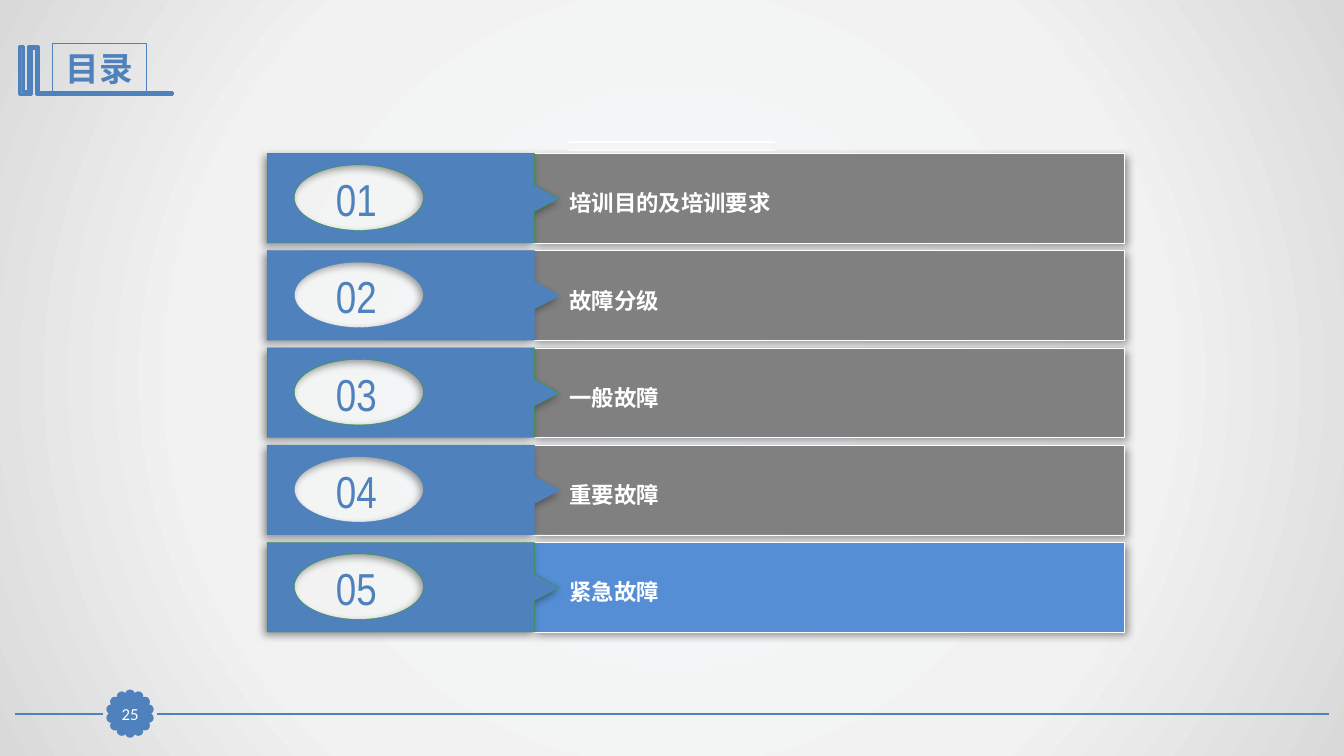
from dataclasses import dataclass
from math import cos, pi, sin

from pptx import Presentation
from pptx.dml.color import RGBColor
from pptx.enum.shapes import MSO_CONNECTOR, MSO_SHAPE
from pptx.enum.text import MSO_ANCHOR, MSO_AUTO_SIZE, PP_ALIGN
from pptx.oxml import parse_xml
from pptx.oxml.ns import nsdecls, qn
from pptx.util import Inches, Pt

COLORS = {
    "blue": "4F81BD", "cyan": "28A9D6", "active": "558ED5", "gray": "808080",
    "green": "339933", "white": "FFFFFF", "black": "000000",
}
BACKGROUND_STOPS = [(0, "F6F9FC"), (63, "F2F2F2"), (100, "D9D9D9")]
NUMBER_FORMAT = {"name": "Arial Narrow", "size": Pt(32)}
LABEL_FORMAT = {"name": "Calibri", "size": Pt(16), "bold": True}
TITLE_FORMAT = {"name": "Arial Narrow", "size": Pt(24), "bold": True}
PAGE_NUMBER_FORMAT = {"name": "Calibri", "size": Pt(12), "bold": False}

FIRST_TOP, LAST_TOP, ROW_HEIGHT = 1.52, 5.38, 0.89
TAB_LEFT, TAB_RIGHT, TAB_TIP = 2.65, 5.3, 5.55
HOLE_X, HOLE_WIDTH, HOLE_HEIGHT = 3.56, 1.28, 0.65
QUARTER_ARC = 0.55  # handle length of a curved quarter, as a share of its radius
PETALS, PETAL_SIZE = 14, 0.07
BADGE_X, BADGE_Y, BADGE_RADIUS = 1.29, 7.08, 0.19

Points = list[tuple[float, float]]


@dataclass
class Chapter:
    number: str
    label: str
    bar_color: str
    edge_color: str


@dataclass
class Rule:
    start: float
    end: float
    y: float
    color: str
    weight: float


CHAPTERS = [
    Chapter("01", "培训目的及培训要求", "gray", "green"),
    Chapter("02", "故障分级", "gray", "blue"),
    Chapter("03", "一般故障", "gray", "green"),
    Chapter("04", "重要故障", "gray", "blue"),
    Chapter("05", "紧急故障", "active", "green"),
]
FOOTER_RULES = [
    Rule(13.18, 1.56, BADGE_Y, "blue", 1.25),
    Rule(1.02, 0.15, BADGE_Y, "blue", 1.25),
]
TOP_RULES = [Rule(5.64, 7.69, y, "white", 1.5) for y in (1.41, 1.49)]
BOOK_OUTLINE: Points = [
    (0.37, 0.46), (0.38, 0.46), (0.38, 0.92), (1.71, 0.92), (1.71, 0.94),
    (0.37, 0.94), (0.36, 0.94), (0.36, 0.48), (0.31, 0.48), (0.31, 0.94),
    (0.19, 0.94), (0.19, 0.46), (0.23, 0.46), (0.23, 0.91), (0.28, 0.91),
    (0.28, 0.46),
]


def rgb(color: str) -> RGBColor:
    return RGBColor.from_string(COLORS[color])


def paint(shape, fill: str, line: str, weight: float) -> None:
    shape.fill.solid()
    shape.fill.fore_color.rgb = rgb(fill)
    shape.line.color.rgb = rgb(line)
    shape.line.width = Pt(weight)
    shape.shadow.inherit = False


def cast_shadow(shape, direction: int) -> None:
    effects = shape._element.spPr.find(qn("a:effectLst"))
    effects.append(parse_xml(
        f'<a:outerShdw {nsdecls("a")} blurRad="{Pt(6)}" dist="{Pt(3)}" '
        f'dir="{direction * 60000}" algn="ctr" rotWithShape="0">'
        f'<a:srgbClr val="{COLORS["black"]}"><a:alpha val="40000"/></a:srgbClr>'
        '</a:outerShdw>'))


def write(shape, text: str, formats: dict, color: str, align: PP_ALIGN,
          anchor: MSO_ANCHOR) -> None:
    frame = shape.text_frame
    frame.word_wrap = True
    frame.vertical_anchor = anchor
    frame.auto_size = MSO_AUTO_SIZE.NONE
    para = frame.paragraphs[0]
    para.alignment = align
    span = para.add_run()
    span.text = text
    for name, value in formats.items():
        setattr(span.font, name, value)
    span.font.color.rgb = rgb(color)


def add_box(page, kind: MSO_SHAPE, *bounds: float):
    return page.shapes.add_shape(kind, *map(Inches, bounds))


def add_outline(page, *contours: Points):
    """Draw closed contours as one shape; an inner contour makes a hole."""
    first, *others = [[(Inches(x), Inches(y)) for x, y in contour] for contour in contours]
    builder = page.shapes.build_freeform(*first[0])
    builder.add_line_segments(first[1:], close=True)
    for contour in others:
        builder.move_to(*contour[0])
        builder.add_line_segments(contour[1:], close=True)
    return builder.convert_to_shape()


def round_hole(shape) -> None:
    """Bend the four sides of the first contour, a diamond from its top, into an oval."""
    points = list(shape._element.iter(qn("a:pt")))[:5]
    places = [(int(point.get("x")), int(point.get("y"))) for point in points]
    for index, (start, end) in enumerate(zip(places, places[1:])):
        corner = (end[0], start[1]) if index % 2 == 0 else (start[0], end[1])
        handles = [[round(a + QUARTER_ARC * (b - a)) for a, b in zip(point, corner)]
                   for point in (start, end)]
        curve = "".join(f'<a:pt x="{x}" y="{y}"/>' for x, y in (*handles, end))
        side = points[index + 1].getparent()
        side.getparent().replace(side, parse_xml(
            f'<a:cubicBezTo {nsdecls("a")}>{curve}</a:cubicBezTo>'))


def add_rule(page, rule: Rule) -> None:
    line = page.shapes.add_connector(
        MSO_CONNECTOR.STRAIGHT, Inches(rule.start), Inches(rule.y),
        Inches(rule.end), Inches(rule.y))
    line.line.color.rgb = rgb(rule.color)
    line.line.width = Pt(rule.weight)
    line._element.spPr.append(parse_xml(f'<a:effectLst {nsdecls("a")}/>'))


def add_background(page) -> None:
    page.background.fill.gradient()
    gradient = page._element.find(".//" + qn("a:gradFill"))
    stops = "".join(f'<a:gs pos="{position * 1000}"><a:srgbClr val="{color}"/></a:gs>'
                    for position, color in BACKGROUND_STOPS)
    gradient.getparent().replace(gradient, parse_xml(
        f'<a:gradFill {nsdecls("a")} rotWithShape="1"><a:gsLst>{stops}</a:gsLst>'
        '<a:path path="circle"><a:fillToRect l="50000" t="50000" r="50000" b="50000"/>'
        '</a:path></a:gradFill>'))


def add_title(page) -> None:
    paint(add_outline(page, BOOK_OUTLINE), "cyan", "blue", 2)
    title = page.shapes.title
    title.left, title.top, title.width, title.height = map(Inches, (0.52, 0.43, 0.93, 0.5))
    title.line.color.rgb = rgb("blue")
    title.line.width = Pt(0.75)
    write(title, "目录", TITLE_FORMAT, "blue", PP_ALIGN.CENTER, MSO_ANCHOR.MIDDLE)


def add_page_badge(page) -> None:
    for index in range(PETALS):
        angle = 2 * pi * index / PETALS
        petal = add_box(page, MSO_SHAPE.OVAL,
                        BADGE_X + BADGE_RADIUS * sin(angle) - PETAL_SIZE / 2,
                        BADGE_Y - BADGE_RADIUS * cos(angle) - PETAL_SIZE / 2,
                        PETAL_SIZE, PETAL_SIZE)
        paint(petal, "blue", "blue", 2)
    center = add_box(page, MSO_SHAPE.RECTANGLE, 1.13, 6.93, 0.32, 0.31)
    paint(center, "blue", "blue", 0.75)
    for side in ("left", "top", "right", "bottom"):
        setattr(center.text_frame, f"margin_{side}", 0)
    write(center, "25", PAGE_NUMBER_FORMAT, "white", PP_ALIGN.CENTER, MSO_ANCHOR.MIDDLE)


def add_chapter(page, chapter: Chapter, top: float) -> None:
    # Bar behind the tab
    bar = add_box(page, MSO_SHAPE.RECTANGLE, 5.28, top, 5.87, ROW_HEIGHT)
    paint(bar, chapter.bar_color, "white", 0.25)
    cast_shadow(bar, 45)

    # Pointed tab with an oval hole
    bottom, middle = top + ROW_HEIGHT, top + 0.44
    hole = [(HOLE_X + x * HOLE_WIDTH / 2, middle + y * HOLE_HEIGHT / 2)
            for x, y in ((0, -1), (-1, 0), (0, 1), (1, 0), (0, -1))]
    edge = [(TAB_LEFT, top), (TAB_RIGHT, top), (TAB_RIGHT, top + 0.31),
            (TAB_TIP, top + 0.45), (TAB_RIGHT, top + 0.58),
            (TAB_RIGHT, bottom), (TAB_LEFT, bottom)]
    tab = add_outline(page, hole, edge)
    round_hole(tab)
    paint(tab, "blue", chapter.edge_color, 0.25)
    cast_shadow(tab, 135)

    # Number and label
    number = page.shapes.add_textbox(*map(Inches, (3.03, top + 0.13, 1.01, 0.64)))
    write(number, chapter.number, NUMBER_FORMAT, "blue", PP_ALIGN.CENTER, MSO_ANCHOR.MIDDLE)
    label = page.shapes.add_textbox(*map(Inches, (TAB_TIP, top + 0.31, 5.61, 0.37)))
    write(label, chapter.label, LABEL_FORMAT, "white", PP_ALIGN.LEFT, MSO_ANCHOR.TOP)


def main() -> None:
    deck = Presentation()
    deck.slide_width, deck.slide_height = Inches(13.33), Inches(7.5)
    page = deck.slides.add_slide(deck.slide_layouts[5])
    add_background(page)
    for rule in FOOTER_RULES + TOP_RULES:
        add_rule(page, rule)
    add_page_badge(page)
    add_title(page)
    pitch = (LAST_TOP - FIRST_TOP) / (len(CHAPTERS) - 1)
    for index, chapter in enumerate(CHAPTERS):
        add_chapter(page, chapter, FIRST_TOP + pitch * index)
    deck.save("out.pptx")


if __name__ == "__main__":
    main()
